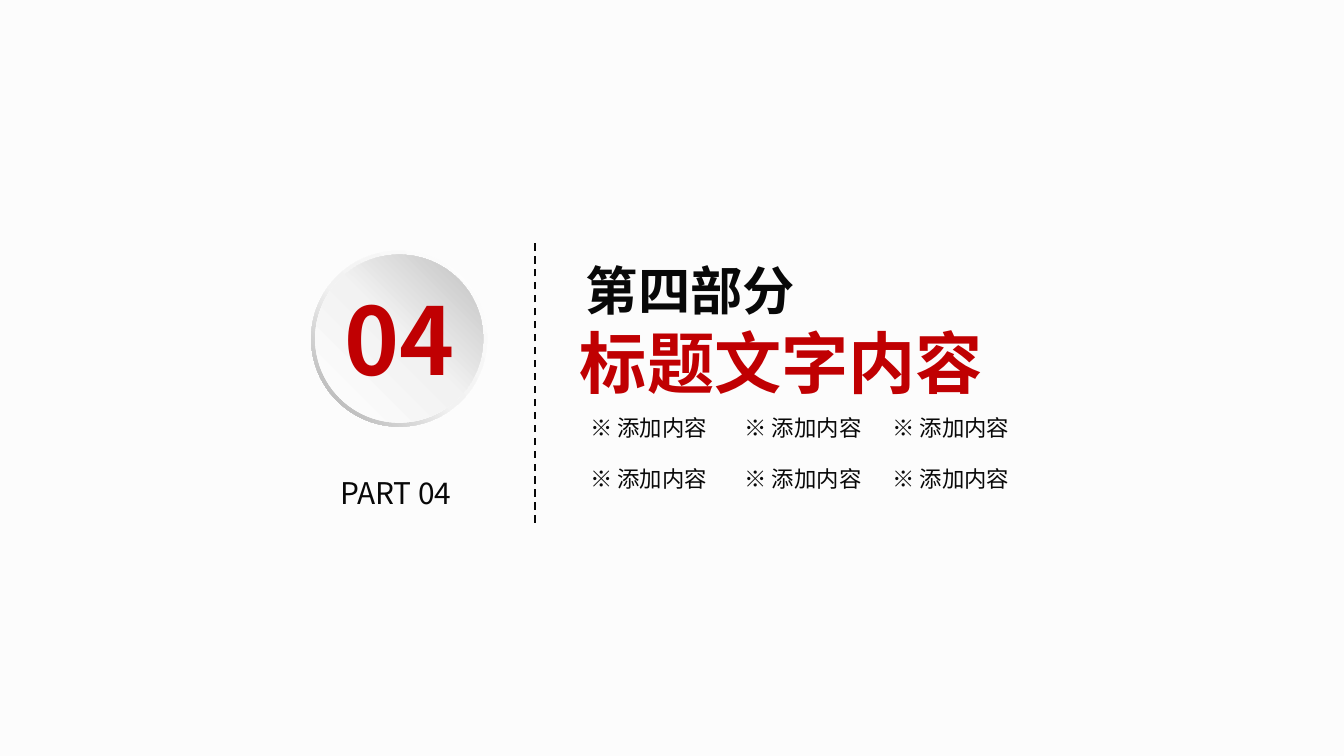
from copy import deepcopy

from lxml import etree
from pptx import Presentation
from pptx.dml.color import RGBColor
from pptx.enum.dml import MSO_LINE
from pptx.enum.shapes import MSO_CONNECTOR, MSO_SHAPE
from pptx.enum.text import MSO_ANCHOR, MSO_AUTO_SIZE, PP_ALIGN
from pptx.oxml.ns import qn
from pptx.util import Inches, Pt

DASH = MSO_LINE.DASH
STRAIGHT = MSO_CONNECTOR.STRAIGHT
DONUT, OVAL = MSO_SHAPE.DONUT, MSO_SHAPE.OVAL
TOP = MSO_ANCHOR.TOP
GROW = MSO_AUTO_SIZE.SHAPE_TO_FIT_TEXT
LEFT, CENTER = PP_ALIGN.LEFT, PP_ALIGN.CENTER

SLIDE_WIDTH = 10
SLIDE_HEIGHT = SLIDE_WIDTH * 9 / 16
FONT = "Noto Sans CJK SC"
INK, RED, PAPER = "080808", "C00002", "FCFCFC"

HEADINGS = [("第四部分", 28, INK, LEFT, 0.06), ("标题文字内容", 36, RED, CENTER, 0)]
NUMBER = "04"
PART = "PART 04"
TOPICS = [["※ 添加内容"] * 3, ["※ 添加内容"] * 3]

COLUMN_LEFTS = [4.32, 5.47, 6.57]
FIRST_ROW, ROW_STEP = 3.05, 0.38
BADGE_CENTER = (2.97, 2.52)
BADGE = [
    (DONUT, 1.31, 225, [(0, "FFFFFF"), (0.55, "F2F2F2"), (1, "A6A6A6")]),
    (OVAL, 1.25, 45, [(0, "FFFFFF"), (0.51, "F2F2F2"), (1, "BFBFBF")]),
]


def color(value):
    return RGBColor.from_string(value)


def style(paragraph, size, ink, bold=False):
    for run in paragraph.runs:
        run.font.name = FONT
        run.font.size = Pt(size)
        run.font.bold = bold
        run.font.color.rgb = color(ink)
        east_asian = etree.SubElement(run.font._element, qn("a:ea"))
        east_asian.set("typeface", FONT)


def add_label(slide, text, place, size, ink, bold=False, inset=(0, 0)):
    label = slide.shapes.add_textbox(*map(Inches, place))
    frame = label.text_frame
    frame.word_wrap = True
    frame.auto_size = GROW
    frame.margin_left = frame.margin_right = Inches(inset[0])
    frame.margin_top = frame.margin_bottom = Inches(inset[1])
    frame.text = text
    style(frame.paragraphs[0], size, ink, bold)


def add_heading(slide):
    heading = slide.shapes.title
    heading.left, heading.top = Inches(4.2), Inches(1.87)
    heading.width, heading.height = Inches(3.23), Inches(1.18)
    frame = heading.text_frame
    frame.word_wrap = False
    frame.auto_size = GROW
    frame.vertical_anchor = TOP
    frame.text = "\n".join(line[0] for line in HEADINGS)
    for paragraph, (_, size, ink, align, indent) in zip(frame.paragraphs, HEADINGS):
        paragraph.alignment = align
        paragraph._p.get_or_add_pPr().set("marL", str(Inches(indent)))
        style(paragraph, size, ink, bold=True)


def add_badge(slide):
    badge = slide.shapes.add_group_shape()
    for kind, diameter, angle, stops in BADGE:
        left, top = (Inches(c - diameter / 2) for c in BADGE_CENTER)
        disc = badge.shapes.add_shape(kind, left, top, Inches(diameter), Inches(diameter))
        disc.shadow.inherit = False
        disc.line.fill.background()
        if kind == DONUT:
            disc.adjustments[0] = 0.05
        disc.fill.gradient()
        disc.fill.gradient_angle = angle
        stop_list = disc._element.spPr.find(qn("a:gradFill")).find(qn("a:gsLst"))
        stop_list.append(deepcopy(stop_list[-1]))
        for stop, (position, tint) in zip(disc.fill.gradient_stops, stops):
            stop.position = position
            stop.color.rgb = color(tint)


def add_divider(slide):
    divider = slide.shapes.add_connector(
        STRAIGHT, Inches(3.98), Inches(3.89), Inches(3.98), Inches(1.79))
    divider.line.color.rgb = color(INK)
    divider.line.width = Pt(1)
    divider.line.dash_style = DASH
    etree.SubElement(divider._element.spPr, qn("a:effectLst"))


def main():
    deck = Presentation()
    deck.slide_width, deck.slide_height = Inches(SLIDE_WIDTH), Inches(SLIDE_HEIGHT)
    slide = deck.slides.add_slide(deck.slide_layouts[5])
    slide.background.fill.solid()
    slide.background.fill.fore_color.rgb = color(PAPER)

    add_heading(slide)
    add_divider(slide)
    add_label(slide, PART, (2.53, 3.53, 0.99, 0.27), 16, INK)
    add_badge(slide)
    for row, topics in enumerate(TOPICS):
        for left, topic in zip(COLUMN_LEFTS, topics):
            place = (left, FIRST_ROW + row * ROW_STEP, 1.08, 0.27)
            add_label(slide, topic, place, 12, INK, inset=(0.07, 0.03))
    add_label(slide, NUMBER, (2.56, 2.1, 0.99, 0.84), 50, RED, bold=True)
    deck.save("out.pptx")


if __name__ == "__main__":
    main()
